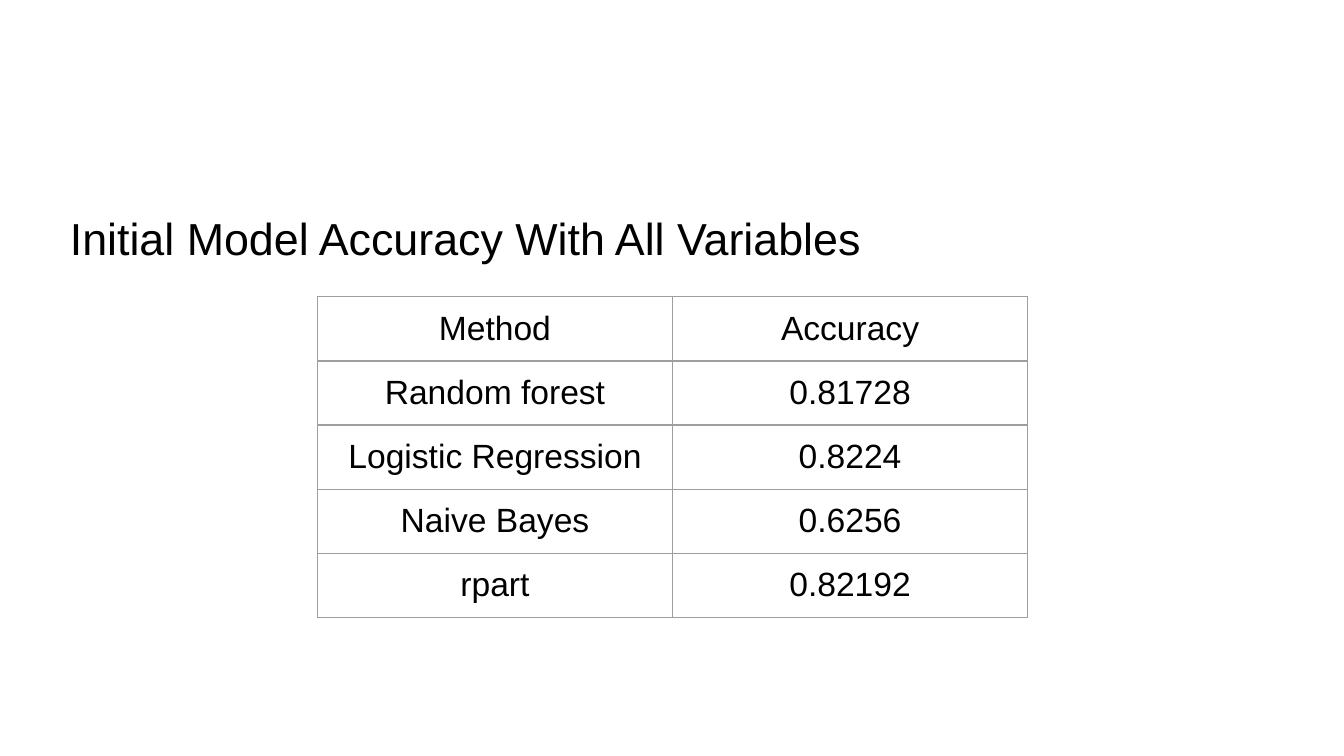
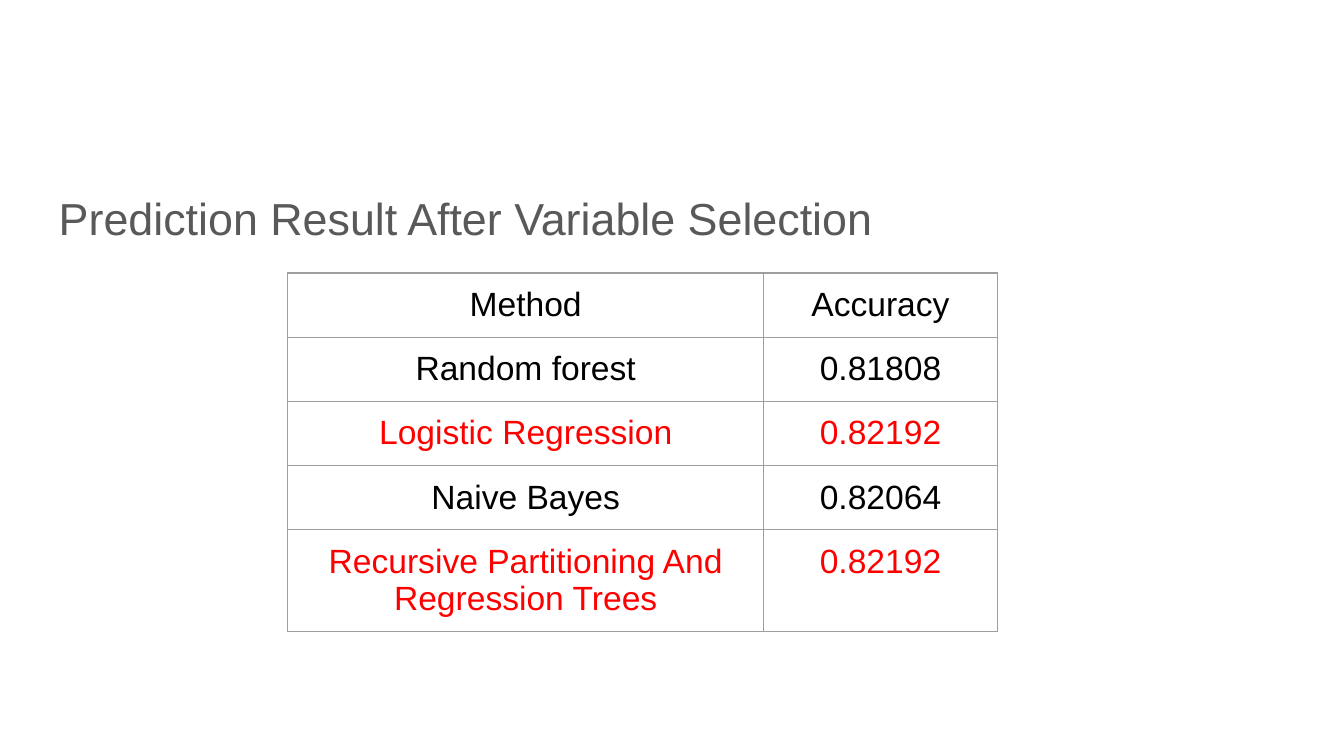
from lxml import etree
from pptx import Presentation
from pptx.dml.color import RGBColor
from pptx.enum.text import MSO_ANCHOR, MSO_AUTO_SIZE, PP_ALIGN
from pptx.oxml.ns import qn
from pptx.util import Cm, Pt

LEFT, CENTER = PP_ALIGN.LEFT, PP_ALIGN.CENTER
TOP = MSO_ANCHOR.TOP
NO_AUTOFIT = MSO_AUTO_SIZE.NONE

COLORS = {"text": "000000", "muted": "595959", "best": "FF0000", "border": "9E9E9E"}
FONT = "Arial"
TITLE_SIZE, CELL_SIZE, BORDER_WIDTH = Pt(24), Pt(18), Pt(0.75)
INSET = Cm(0.25)
ROW_HEIGHT = 1.07
TITLE_ONLY = 5
HEADER = ("Method", "Accuracy")


def style_paragraph(p, size, color, align):
    p.alignment = align
    for r in p.runs:
        r.font.name = FONT
        r.font.size = size
        r.font.color.rgb = RGBColor.from_string(COLORS[color])


def set_insets(target):
    target.margin_left = target.margin_right = INSET
    target.margin_top = target.margin_bottom = INSET


def set_borders(cell):
    tc_pr = cell._tc.get_or_add_tcPr()
    for side in ("a:lnL", "a:lnR", "a:lnT", "a:lnB"):
        ln = etree.SubElement(tc_pr, qn(side), w=str(BORDER_WIDTH))
        fill = etree.SubElement(ln, qn("a:solidFill"))
        etree.SubElement(fill, qn("a:srgbClr"), val=COLORS["border"])


def add_title(s, text, box, color):
    title = s.shapes.title
    title.left, title.top, title.width, title.height = (Cm(v) for v in box)
    tf = title.text_frame
    tf.text = text
    tf.word_wrap = True
    tf.auto_size = NO_AUTOFIT
    tf.vertical_anchor = TOP
    set_insets(tf)
    p = tf.paragraphs[0]
    style_paragraph(p, TITLE_SIZE, color, LEFT)
    return p


def add_accuracy_table(s, left, top, col_widths, results, best=()):
    """Tabulate (method, accuracy) pairs, with the best methods in red."""
    rows = [HEADER, *results]
    table = s.shapes.add_table(
        len(rows), len(HEADER), Cm(left), Cm(top),
        Cm(sum(col_widths)), Cm(ROW_HEIGHT * len(rows))).table
    table.first_row = table.horz_banding = False
    for column, width in zip(table.columns, col_widths):
        column.width = Cm(width)
    for i, row in enumerate(rows):
        color = "best" if row[0] in best else "text"
        for j, text in enumerate(row):
            cell = table.cell(i, j)
            cell.text = text
            set_insets(cell)
            set_borders(cell)
            cell.fill.background()
            style_paragraph(cell.text_frame.paragraphs[0], CELL_SIZE, color, CENTER)


def build_initial_accuracy(prs):
    s = prs.slides.add_slide(prs.slide_layouts[TITLE_ONLY])
    add_title(s, "Initial Model Accuracy With All Variables",
              (1.07, 3.73, 18.34, 1.73), "text")
    add_accuracy_table(s, 6, 5.61, (6.71, 6.71), [
        ("Random forest", "0.81728"),
        ("Logistic Regression", "0.8224"),
        ("Naive Bayes", "0.6256"),
        ("rpart", "0.82192"),
    ])


def build_selected_accuracy(prs):
    s = prs.slides.add_slide(prs.slide_layouts[TITLE_ONLY])
    p = add_title(s, "Prediction Result After Variable Selection",
                  (0.86, 3.2, 23.67, 1.6), "muted")
    p.line_spacing = 1.15
    p.space_after = Pt(16)
    logistic = "Logistic Regression"
    trees = "Recursive Partitioning And Regression Trees"
    add_accuracy_table(s, 5.44, 5.16, (8.99, 4.42), [
        ("Random forest", "0.81808"),
        (logistic, "0.82192"),
        ("Naive Bayes", "0.82064"),
        (trees, "0.82192"),
    ], best=(logistic, trees))


def main():
    prs = Presentation()
    prs.slide_width, prs.slide_height = Cm(25.4), Cm(14.29)
    build_initial_accuracy(prs)
    build_selected_accuracy(prs)
    prs.save("out.pptx")


if __name__ == "__main__":
    main()
